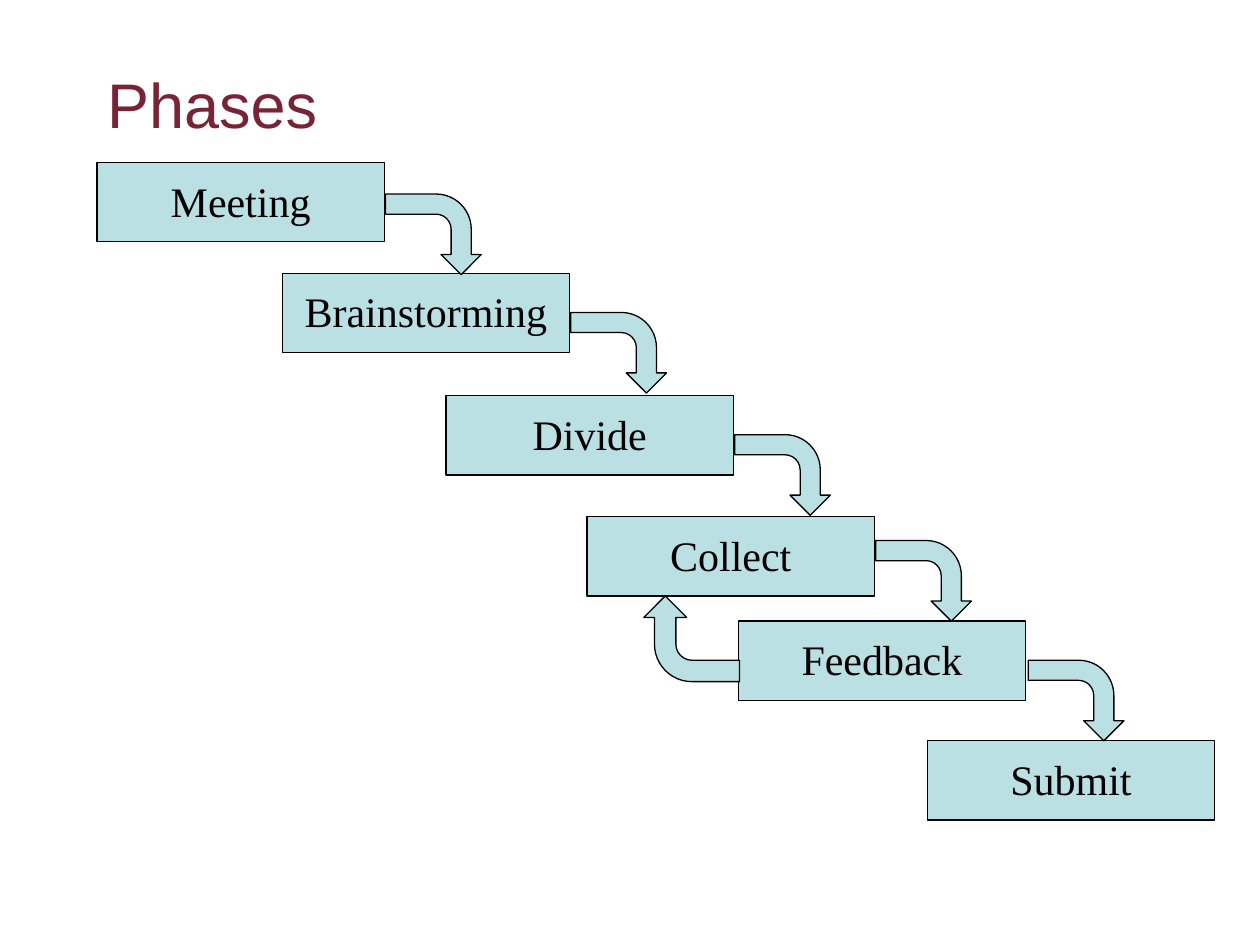
from pptx import Presentation
from pptx.dml.color import RGBColor
from pptx.enum.shapes import MSO_SHAPE
from pptx.enum.text import MSO_ANCHOR, PP_ALIGN
from pptx.util import Inches, Pt

RECTANGLE = MSO_SHAPE.RECTANGLE
BENT_ARROW = MSO_SHAPE.BENT_ARROW
TOP = MSO_ANCHOR.TOP
LEFT, CENTER = PP_ALIGN.LEFT, PP_ALIGN.CENTER


def add_filled_shape(kind, left, top, width, height):
    shape = slide.shapes.add_shape(
        kind, Inches(left), Inches(top), Inches(width), Inches(height))
    shape.shadow.inherit = False
    shape.fill.solid()
    shape.fill.fore_color.rgb = RGBColor.from_string("BBE0E3")
    shape.line.color.rgb = RGBColor.from_string("000000")
    shape.line.width = Pt(0.75)
    return shape


def write_text(shape, text, font_name, size, color, alignment):
    frame = shape.text_frame
    frame.word_wrap = True
    frame.vertical_anchor = TOP
    frame.margin_top = Inches(0.1)
    frame.text = text
    paragraph = frame.paragraphs[0]
    paragraph.alignment = alignment
    paragraph.font.name = font_name
    paragraph.font.size = Pt(size)
    paragraph.font.color.rgb = RGBColor.from_string(color)


presentation = Presentation()
presentation.slide_width = Inches(10)
presentation.slide_height = Inches(7.5)
slide = presentation.slides.add_slide(presentation.slide_layouts[5])

title = slide.shapes.title
title.left, title.top = Inches(0.75), Inches(0.42)
title.width, title.height = Inches(8.5), Inches(1.25)
write_text(title, "Phases", "Arial", 36, "782336", LEFT)

phases = [
    ("Meeting", 0.77, 1.29),
    ("Brainstorming", 2.24, 2.17),
    ("Divide", 3.54, 3.14),
    ("Collect", 4.66, 4.1),
    ("Feedback", 5.86, 4.93),
    ("Submit", 7.36, 5.88),
]
for name, left, top in phases:
    box = add_filled_shape(RECTANGLE, left, top, 2.28, 0.63)
    write_text(box, name, "Times New Roman", 24, "000000", CENTER)

arrows = [
    (3.12, 1.48, 0.64, 90),
    (4.59, 2.42, 0.64, 90),
    (5.89, 3.39, 0.64, 90),
    (7.01, 4.23, 0.64, 90),
    (8.22, 5.18, 0.64, 90),
    (5.15, 4.69, 0.68, 270),
]
for left, top, width, rotation in arrows:
    arrow = add_filled_shape(BENT_ARROW, left, top, width, 0.76)
    arrow.rotation = rotation

presentation.save("out.pptx")
